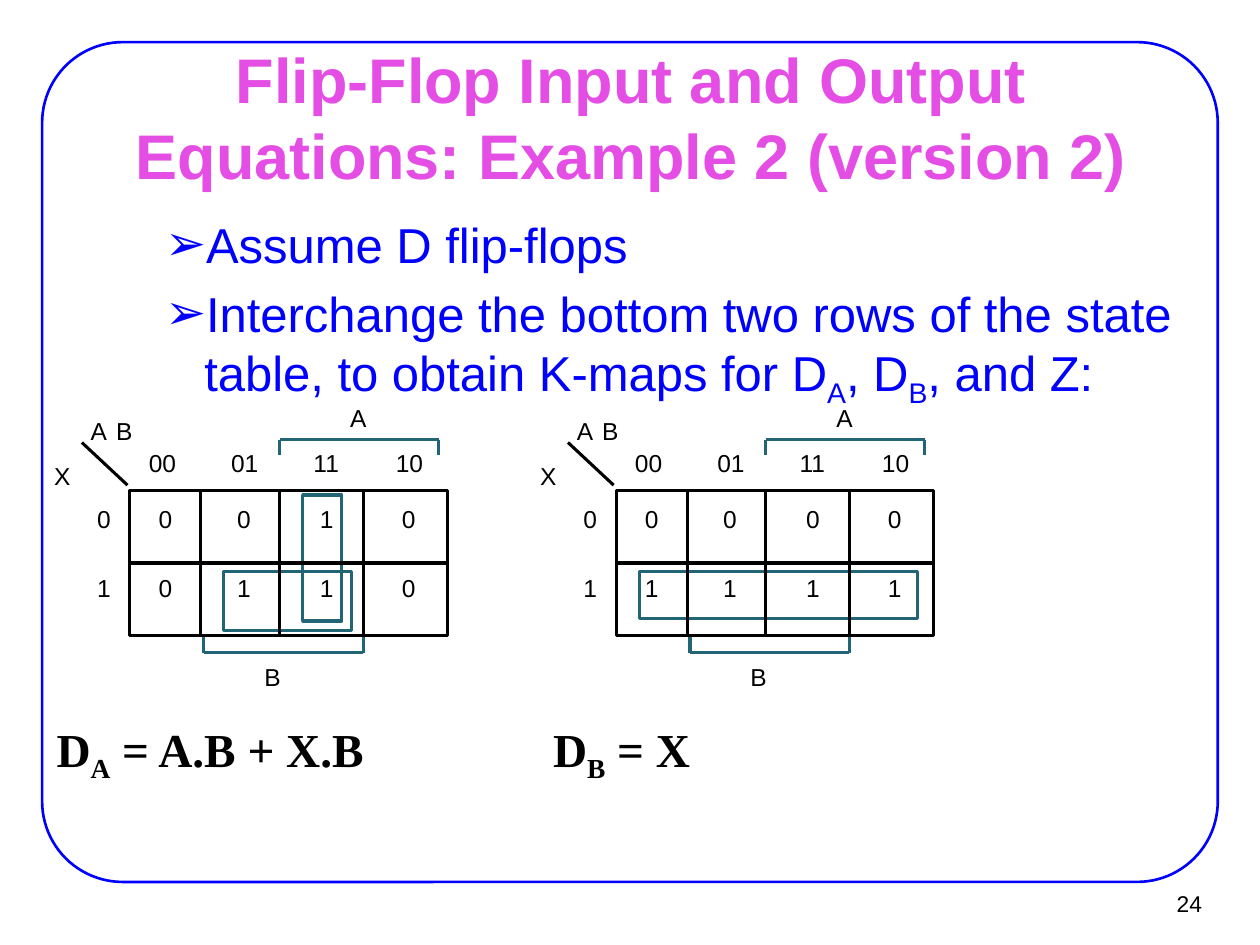
from lxml import etree
from pptx import Presentation
from pptx import util as u
from pptx.dml.color import RGBColor
from pptx.enum import shapes, text
from pptx.oxml.ns import qn

THEME = {
    "ink": RGBColor(0, 0, 0),
    "blue": RGBColor(0, 0, 0xFF),
    "teal": RGBColor(0x22, 0x65, 0x77),
    "frame_line": u.Pt(1.5),
    "map_line": u.Pt(1.75),
    "title": {"name": "Arial", "size": u.Pt(36), "bold": True, "color": RGBColor(0xE4, 0x4E, 0xE4)},
    "body": {"name": "Arial", "size": u.Pt(28), "color": RGBColor(0, 0, 0xFF)},
    "label": {"name": "Arial", "size": u.Pt(14), "color": RGBColor(0, 0, 0)},
    "equation": {"name": "Times New Roman", "size": u.Pt(27), "bold": True, "color": RGBColor(0, 0, 0)},
    "number": {"name": "Arial", "size": u.Pt(13), "color": RGBColor(0, 0, 0)},
}


def write(paragraph, marked, style):
    """Fill a paragraph; parts between underscores become subscripts."""
    for index, part in enumerate(marked.split("_")):
        run = paragraph.add_run()
        run.text = part
        for key, value in THEME[style].items():
            if key == "color":
                run.font.color.rgb = value
            else:
                setattr(run.font, key, value)
        if index % 2:
            run._r.get_or_add_rPr().set("baseline", "-25000")


def add_text(left, top, width, height, marked, style, inset=(0, 0)):
    """Add a text box, in centimetres, and return its text frame."""
    box = slide.shapes.add_textbox(u.Cm(left), u.Cm(top), u.Cm(width), u.Cm(height))
    frame = box.text_frame
    frame.word_wrap = True
    for side, margin in zip(("left", "right", "top", "bottom"), (inset[0], inset[0], inset[1], inset[1])):
        setattr(frame, f"margin_{side}", u.Cm(margin))
    write(frame.paragraphs[0], marked, style)
    return frame


prs = Presentation()
prs.slide_width, prs.slide_height = u.Cm(25.4), u.Cm(19.05)
slide = prs.slides.add_slide(prs.slide_layouts[5])

# Page frame and number
border = slide.shapes.add_shape(
    shapes.MSO_SHAPE.ROUNDED_RECTANGLE, u.Cm(0.85), u.Cm(0.85), u.Cm(23.7), u.Cm(16.93))
border.adjustments[0] = 0.096
border.shadow.inherit = False
border.fill.background()
border.line.color.rgb = THEME["blue"]
border.line.width = THEME["frame_line"]

number = add_text(22.91, 17.75, 1.55, 0.94, "24", "number", (0.23, 0.1))
number.vertical_anchor = text.MSO_ANCHOR.MIDDLE
number.paragraphs[0].alignment = text.PP_ALIGN.RIGHT

# Title
title = slide.shapes.title
for key, value in {"left": 1.93, "top": 1.73, "width": 21.59, "height": 1.24}.items():
    setattr(title, key, u.Cm(value))
title_format = {
    "auto_size": text.MSO_AUTO_SIZE.NONE, "word_wrap": True,
    "vertical_anchor": text.MSO_ANCHOR.MIDDLE,
    "margin_left": u.Cm(0.28), "margin_right": u.Cm(0.28),
    "margin_top": u.Cm(0.15), "margin_bottom": u.Cm(0.15),
}
for key, value in title_format.items():
    setattr(title.text_frame, key, value)
heading = title.text_frame.paragraphs[0]
heading.alignment = text.PP_ALIGN.CENTER
write(heading, "Flip-Flop Input and Output Equations: Example 2 (version 2)", "title")

# Bulleted steps
steps = add_text(1.78, 4.17, 22.35, 4.95, "Assume D flip-flops", "body", (0.28, 0.15))
interchange = steps.add_paragraph()
write(interchange,
      "Interchange the bottom two rows of the state table, to obtain K-maps for D_A_, D_B_, and Z:",
      "body")
interchange.space_before = u.Pt(6)
for step in steps.paragraphs:
    properties = step._p.get_or_add_pPr()
    properties.set("marL", str(u.Cm(2.06)))
    properties.set("indent", str(-u.Cm(0.79)))
    etree.SubElement(properties, qn("a:buFont"), typeface="Arial")
    etree.SubElement(properties, qn("a:buChar"), char="➢")

# K-maps: the same drawing twice, with its own values and loops
HEADS = ("00", "01", "11", "10")
VALUE_LEFTS = (3.2, 4.78, 6.45, 8.1)
ROW_TOPS = (10.16, 11.56)
MAP_GAP = 9.8
MIDDLE = 11.35
kmaps = [
    (("0010", "0110"), [(6.1, 9.98, 0.79, 2.54), (4.5, 11.53, 2.59, 1.19)]),
    (("0000", "1111"), [(3.1, 11.53, 5.59, 0.94)]),
]
map_lines = [
    ("ink", (2.62, MIDDLE), (9.02, MIDDLE)),  # row divider
    ("ink", (2.57, 9.78), (1.65, 8.92)),  # corner stroke
]
map_lines += [("ink", (x, 9.86), (x, 12.78)) for x in (4.05, 5.64, 7.32)]
for start, stop, near, far in ((4.11, 7.32, 12.85, 13.16), (5.64, 8.84, 9.17, 8.86)):
    map_lines += [
        ("teal", (start, near), (start, far)),
        ("teal", (start, far), (stop, far)),
        ("teal", (stop, near), (stop, far)),
    ]

for position, (rows, loops) in enumerate(kmaps):
    shift = position * MAP_GAP

    # Grid outline and loops around the ones
    outlines = []
    for color, (left, top, width, height) in [("ink", (2.62, 9.88, 6.4, 2.94))] + [("teal", loop) for loop in loops]:
        outline = slide.shapes.add_shape(
            shapes.MSO_SHAPE.RECTANGLE, u.Cm(left + shift), u.Cm(top), u.Cm(width), u.Cm(height))
        outline.shadow.inherit = False
        outline.fill.background()
        outline.line.color.rgb = THEME[color]
        outline.line.width = THEME["map_line"]
        outlines.append(outline)
    grid = outlines[0]

    # Dividers, corner stroke and brackets
    for color, (x1, y1), (x2, y2) in map_lines:
        line = slide.shapes.add_connector(
            shapes.MSO_CONNECTOR.STRAIGHT, u.Cm(x1 + shift), u.Cm(y1), u.Cm(x2 + shift), u.Cm(y2))
        line.line.color.rgb = THEME[color]
        line.line.width = THEME["map_line"]
        etree.SubElement(line._element.spPr, qn("a:effectLst"))
        if y1 == y2 == MIDDLE:
            line.begin_connect(grid, 1)
            line.end_connect(grid, 3)

    # Variables, column heads, row heads and values
    labels = [("A", 1.83, 8.38), ("B", 2.34, 8.38), ("A", 7.06, 8.13), ("B", 5.33, 13.34), ("X", 1.09, 9.3)]
    labels += [(head, 3 + 1.66 * column, 9.04) for column, head in enumerate(HEADS)]
    for row, (top, values) in enumerate(zip(ROW_TOPS, rows)):
        labels.append((str(row), 1.96, top))
        labels += [(value, left, top) for value, left in zip(values, VALUE_LEFTS)]
    for label, left, top in labels:
        add_text(left + shift, top, 0.35 * len(label) + 0.1, 0.58, label, "label")

# Equations
for left, width, equation in ((0.89, 9.4, "D_A_ = A.B + X.B"), (10.9, 13.79, "D_B_ = X")):
    add_text(left, 14.38, width, 1.4, equation, "equation", (0.25, 0.13))

prs.save("out.pptx")
